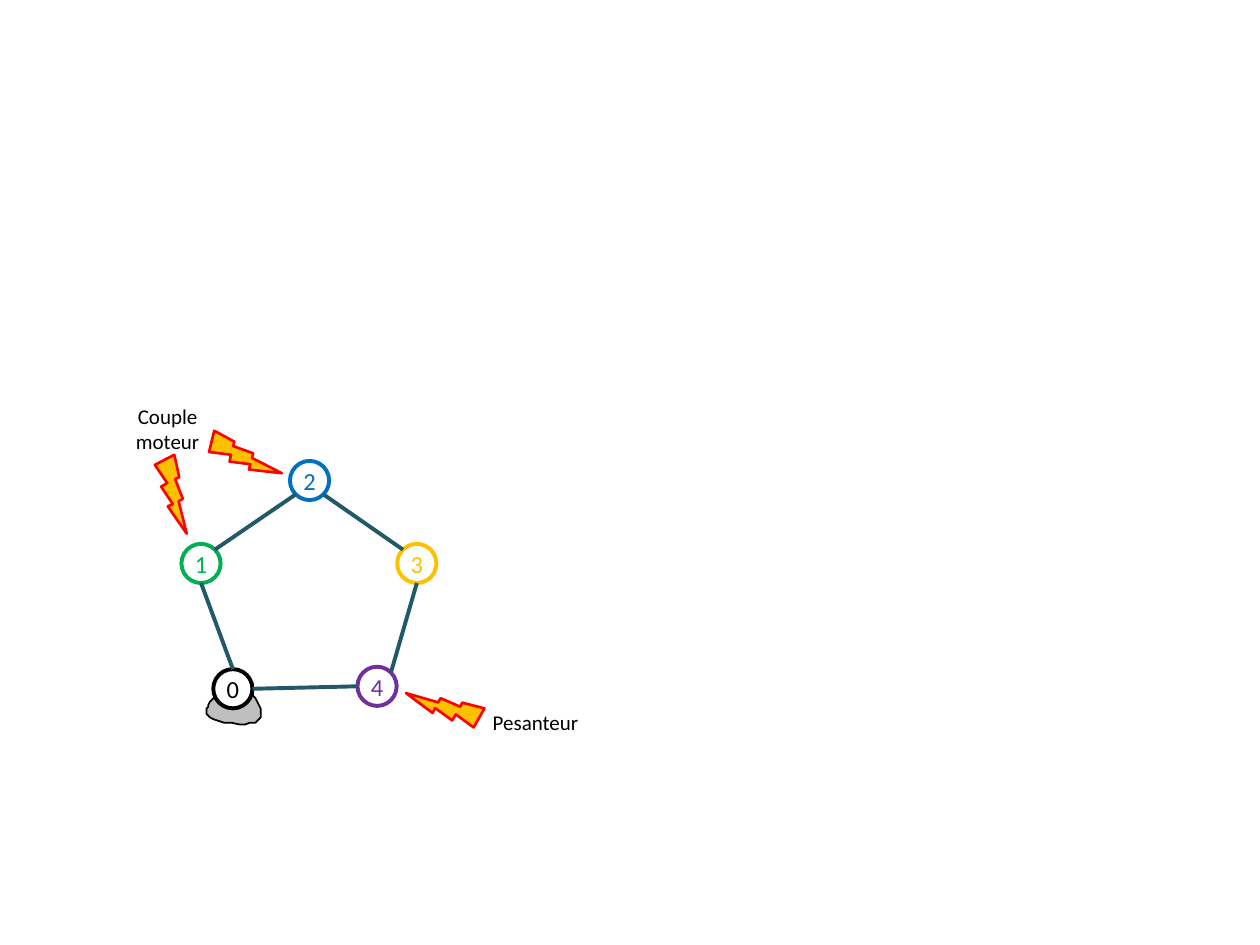
"""Draw a five-joint linkage with motor torque and gravity acting on it."""
from dataclasses import dataclass
from math import cos, radians, sin

from lxml import etree
from pptx import Presentation
from pptx.dml.color import RGBColor
from pptx.enum.shapes import MSO_CONNECTOR, MSO_SHAPE
from pptx.enum.text import MSO_ANCHOR, MSO_AUTO_SIZE, PP_ALIGN
from pptx.oxml.ns import qn
from pptx.util import Pt

OVAL = MSO_SHAPE.OVAL
BOLT = MSO_SHAPE.LIGHTNING_BOLT
STRAIGHT = MSO_CONNECTOR.STRAIGHT
MIDDLE = MSO_ANCHOR.MIDDLE
CENTER = PP_ALIGN.CENTER
GROW = MSO_AUTO_SIZE.SHAPE_TO_FIT_TEXT

Point = tuple[float, float]


@dataclass(frozen=True)
class Theme:
    font: str = "Calibri"
    joint_size: float = 14
    label_size: float = 12
    ink: str = "000000"
    paper: str = "FFFFFF"
    bar: str = "215968"
    support: str = "BFBFBF"
    force_fill: str = "FFC000"
    force_line: str = "FF0000"
    heavy: float = 2.25
    medium: float = 1.5
    thin: float = 1


@dataclass(frozen=True)
class Joint:
    number: str
    x: float
    y: float
    color: str

    def rim(self, angle: float) -> Point:
        turn = radians(angle)
        return self.x + RADIUS * cos(turn), self.y + RADIUS * sin(turn)


@dataclass(frozen=True)
class Bar:
    start: str
    start_angle: float
    end: str
    end_angle: float


@dataclass(frozen=True)
class Force:
    left: float
    top: float
    rotation: float
    flipped: bool = False


@dataclass(frozen=True)
class Label:
    text: str
    left: float
    top: float
    height: float


THEME = Theme()
RADIUS = 11.2
FORCE_SIZE = (25.2, 43)
LABEL_WIDTH = 85
RIGHT, BOTTOM_RIGHT, BOTTOM, BOTTOM_LEFT = 0, 45, 90, 135
LEFT, TOP_LEFT, TOP, TOP_RIGHT = 180, 225, 270, 315

FREE_JOINTS = (
    Joint("1", 114.9, 322, "00B050"),
    Joint("2", 176.9, 274.6, "0070C0"),
    Joint("3", 238.2, 322, "FFC000"),
    Joint("4", 215.5, 392.2, "7030A0"),
)
FIXED_JOINT = Joint("0", 133.1, 393.6, THEME.ink)
BARS = (
    Bar("0", TOP, "1", BOTTOM),
    Bar("2", BOTTOM_LEFT, "1", TOP_RIGHT),
    Bar("3", TOP_LEFT, "2", BOTTOM_RIGHT),
    Bar("0", RIGHT, "4", LEFT),
    Bar("4", TOP_RIGHT, "3", BOTTOM),
)
FIRST_TORQUE = Force(85.7, 260, 10.7)
OTHER_FORCES = (Force(125.3, 239.8, 321.8), Force(242.6, 383.8, 81.4, True))
LABELS = (
    Label("Couple moteur", 53.3, 226.8, 36),
    Label("Pesanteur", 263.5, 401.8, 21.6),
)
SUPPORT_CURVES = (
    ((124.6, 393.1), (128.9, 398.2), (101.5, 409.7), (132.5, 413.3)),
    ((132.5, 413.3), (164.2, 416.9), (140.4, 395.3), (141.8, 388.8)),
)


def apply(target, formats: dict) -> None:
    for attribute, value in formats.items():
        setattr(target, attribute, value)


def paint(shape, fill: str, line: str, width: float) -> None:
    shape.shadow.inherit = False
    shape.fill.solid()
    shape.fill.fore_color.rgb = RGBColor.from_string(fill)
    shape.line.color.rgb = RGBColor.from_string(line)
    shape.line.width = Pt(width)


def write(frame, text: str, size: float, color: str, formats: dict) -> None:
    apply(frame, formats)
    paragraph = frame.paragraphs[0]
    paragraph.alignment = CENTER
    run = paragraph.add_run()
    run.text = text
    apply(run.font, {"name": THEME.font, "size": Pt(size)})
    run.font.color.rgb = RGBColor.from_string(color)


def draw_joint(slide, joint: Joint) -> None:
    ring = slide.shapes.add_shape(
        OVAL, Pt(joint.x - RADIUS), Pt(joint.y - RADIUS), Pt(2 * RADIUS), Pt(2 * RADIUS)
    )
    paint(ring, THEME.paper, joint.color, THEME.heavy)
    formats = {f"margin_{side}": 0 for side in ("left", "top", "right", "bottom")}
    formats["vertical_anchor"] = MIDDLE
    write(ring.text_frame, joint.number, THEME.joint_size, joint.color, formats)


def draw_bar(slide, bar: Bar, joints: dict[str, Joint]) -> None:
    ends = joints[bar.start].rim(bar.start_angle) + joints[bar.end].rim(bar.end_angle)
    rod = slide.shapes.add_connector(STRAIGHT, *(Pt(value) for value in ends))
    rod.line.color.rgb = RGBColor.from_string(THEME.bar)
    rod.line.width = Pt(THEME.heavy)
    etree.SubElement(rod._element.spPr, qn("a:effectLst"))


def draw_force(slide, force: Force) -> None:
    width, height = FORCE_SIZE
    bolt = slide.shapes.add_shape(
        BOLT, Pt(force.left), Pt(force.top), Pt(width), Pt(height)
    )
    paint(bolt, THEME.force_fill, THEME.force_line, THEME.medium)
    bolt.rotation = force.rotation
    if force.flipped:
        bolt._element.spPr.find(qn("a:xfrm")).set("flipH", "1")


def curve_point(curve: tuple[Point, ...], t: float) -> Point:
    weights = ((1 - t) ** 3, 3 * t * (1 - t) ** 2, 3 * t * t * (1 - t), t**3)
    return tuple(sum(w * p[axis] for w, p in zip(weights, curve)) for axis in (0, 1))


def draw_support(slide, steps: int = 20) -> None:
    outline = [
        curve_point(curve, step / steps)
        for curve in SUPPORT_CURVES
        for step in range(1, steps + 1)
    ]
    builder = slide.shapes.build_freeform(*SUPPORT_CURVES[0][0], scale=Pt(1))
    builder.add_line_segments(outline, close=False)
    paint(builder.convert_to_shape(), THEME.support, THEME.ink, THEME.thin)


def draw_label(slide, label: Label) -> None:
    box = slide.shapes.add_textbox(
        Pt(label.left), Pt(label.top), Pt(LABEL_WIDTH), Pt(label.height)
    )
    formats = {"word_wrap": True, "auto_size": GROW}
    write(box.text_frame, label.text, THEME.label_size, THEME.ink, formats)


def main() -> None:
    deck = Presentation()
    apply(deck, {"slide_width": Pt(720), "slide_height": Pt(540)})
    slide = deck.slides.add_slide(deck.slide_layouts[6])
    draw_force(slide, FIRST_TORQUE)
    for joint in FREE_JOINTS:
        draw_joint(slide, joint)
    draw_support(slide)
    draw_joint(slide, FIXED_JOINT)
    joints = {joint.number: joint for joint in (FIXED_JOINT, *FREE_JOINTS)}
    for bar in BARS:
        draw_bar(slide, bar, joints)
    for force in OTHER_FORCES:
        draw_force(slide, force)
    for label in LABELS:
        draw_label(slide, label)
    deck.save("out.pptx")


if __name__ == "__main__":
    main()
